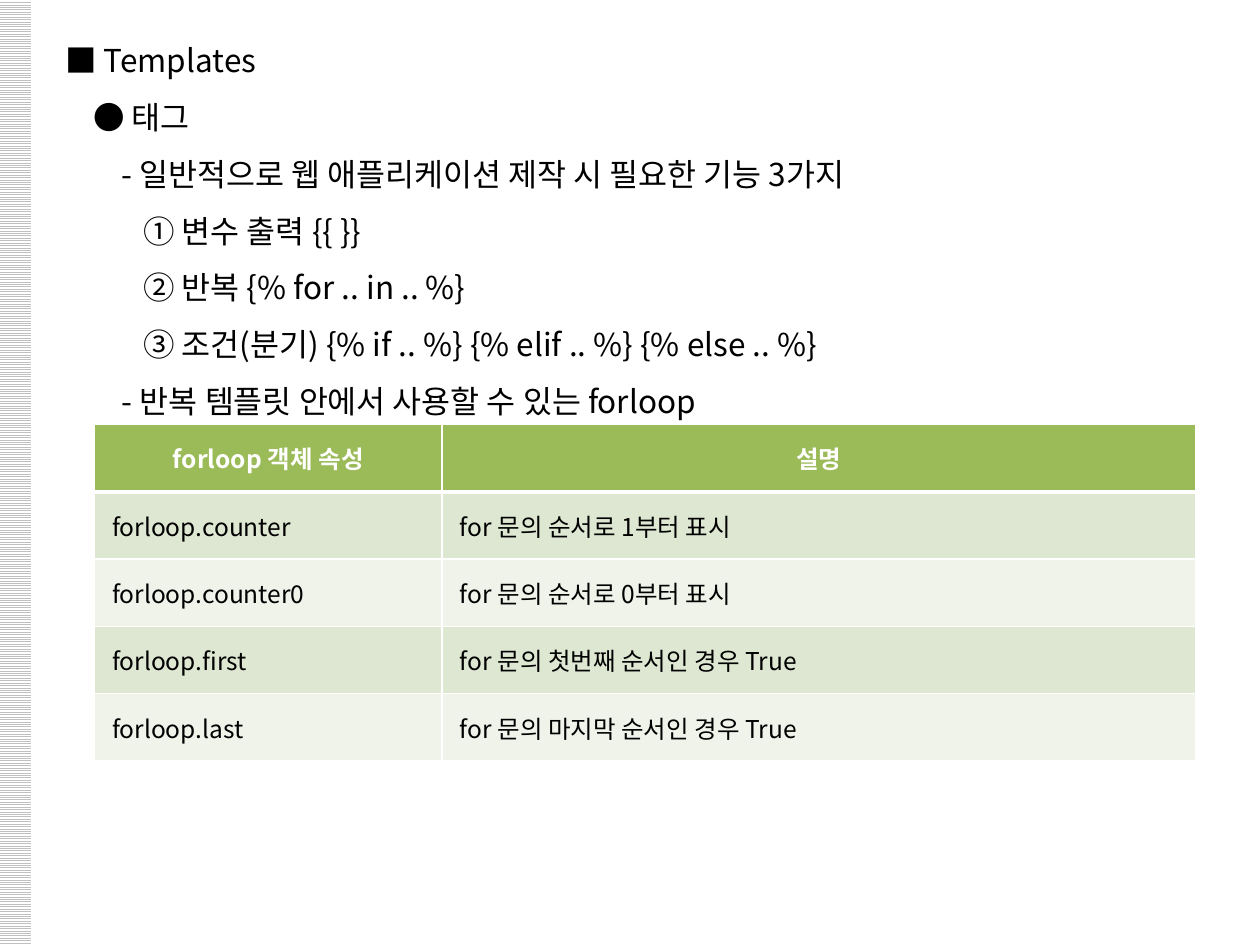
import pptx
import pptx.util
import pptx.dml.color
import pptx.enum.dml
import pptx.enum.shapes
import pptx.enum.text
import pptx.oxml.ns
from lxml import etree

Inches = pptx.util.Inches
Pt = pptx.util.Pt
FONT = "Noto Sans CJK KR"
COLORS = {
    "black": "000000", "white": "FFFFFF", "stripe": "C0C0C0",
    "head": "9BBB59", "odd": "DEE7D1", "even": "EFF3EA",
}

# Outline lines as (level, text), with the indent of each level in inches
INDENTS = [0, 0.22, 0.45, 0.62]
LINES = [
    (0, "■ Templates"),
    (1, "● 태그"),
    (2, "- 일반적으로 웹 애플리케이션 제작 시 필요한 기능 3가지"),
    (3, "① 변수 출력 {{ }}"),
    (3, "② 반복 {% for .. in .. %}"),
    (3, "③ 조건(분기) {% if .. %} {% elif .. %} {% else .. %}"),
    (2, "- 반복 템플릿 안에서 사용할 수 있는 forloop"),
]
ROWS = [
    ("forloop 객체 속성", "설명"),
    ("forloop.counter", "for 문의 순서로 1부터 표시"),
    ("forloop.counter0", "for 문의 순서로 0부터 표시"),
    ("forloop.first", "for 문의 첫번째 순서인 경우 True"),
    ("forloop.last", "for 문의 마지막 순서인 경우 True"),
]


def color(name):
    return pptx.dml.color.RGBColor.from_string(COLORS[name])


def sub(node, tag, **attrs):
    return etree.SubElement(node, pptx.oxml.ns.qn(tag), **attrs)


def style(para, size, tint, bold=False):
    for run in para.runs:
        font = run.font
        font.name, font.size, font.bold = FONT, Pt(size), bold
        font.color.rgb = color(tint)
        sub(run.font._element, "a:ea", typeface=FONT)


def add_stripe(slide):
    bar = slide.shapes.add_shape(
        pptx.enum.shapes.MSO_SHAPE.RECTANGLE, 0, 0, Inches(0.25), Inches(7.5))
    bar.shadow.inherit = False
    bar.line.fill.background()
    bar.fill.patterned()
    bar.fill.pattern = pptx.enum.dml.MSO_PATTERN.LIGHT_HORIZONTAL
    bar.fill.fore_color.rgb = color("stripe")
    bar.fill.back_color.rgb = color("white")


def add_outline(slide):
    box = slide.shapes.add_textbox(
        Inches(0.42), Inches(0.13), Inches(7.43), Inches(3.68))
    frame = box.text_frame
    frame.word_wrap = True
    frame.text = "\n".join(text for _, text in LINES)
    for para, (level, _) in zip(frame.paragraphs, LINES):
        para.line_spacing = 1.5
        props = para._p.get_or_add_pPr()
        props.set("marL", str(Inches(INDENTS[level])))
        props.set("indent", "0")
        style(para, 18, "black")


def add_edges(cell, top, bottom):
    props = cell._tc.get_or_add_tcPr()
    for side, width in zip("LRTB", (1, 1, top, bottom)):
        line = sub(props, "a:ln" + side, w=str(Pt(width)))
        sub(sub(line, "a:solidFill"), "a:srgbClr", val=COLORS["white"])


def fill_cell(cell, text, row):
    head = row == 0
    add_edges(cell, 3 if row == 1 else 1, 3 if head else 1)
    cell.fill.solid()
    cell.fill.fore_color.rgb = color(
        "head" if head else "odd" if row % 2 else "even")
    cell.vertical_anchor = pptx.enum.text.MSO_ANCHOR.MIDDLE
    cell.text_frame.text = text
    para = cell.text_frame.paragraphs[0]
    if head:
        para.alignment = pptx.enum.text.PP_ALIGN.CENTER
    else:
        cell.margin_left = Inches(0.14)
    style(para, 14, "white" if head else "black", head)


def add_grid(slide):
    table = slide.shapes.add_table(
        len(ROWS), 2, Inches(0.75), Inches(3.37),
        Inches(8.74), Inches(2.67)).table
    for col, width in zip(table.columns, (2.76, 5.98)):
        col.width = Inches(width)
    for row, texts in enumerate(ROWS):
        for col, text in enumerate(texts):
            fill_cell(table.cell(row, col), text, row)


def main():
    deck = pptx.Presentation()
    deck.slide_width, deck.slide_height = Inches(10), Inches(7.5)
    slide = deck.slides.add_slide(deck.slide_layouts[6])
    add_stripe(slide)
    add_outline(slide)
    add_grid(slide)
    deck.save("out.pptx")


if __name__ == "__main__":
    main()
